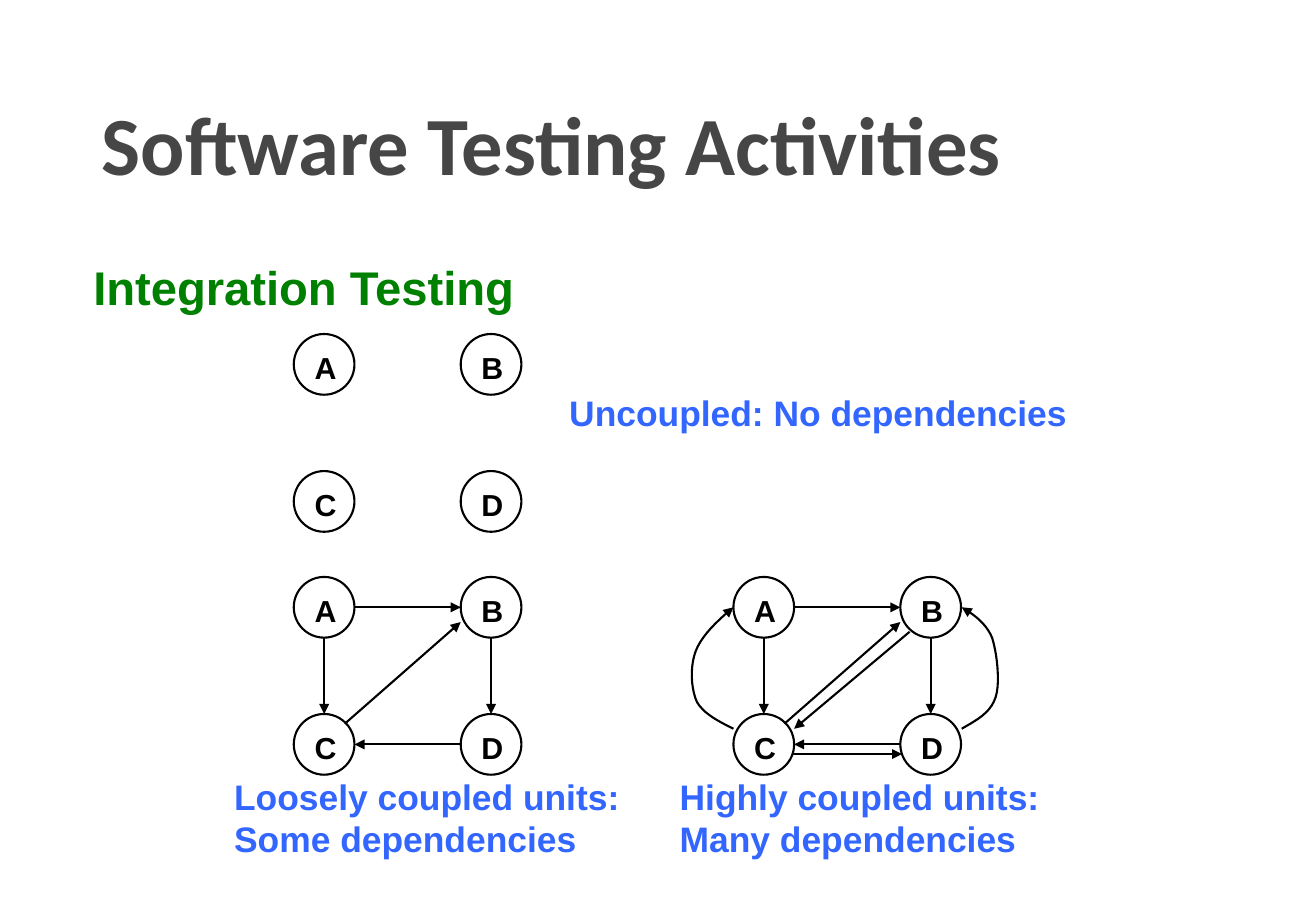
from dataclasses import dataclass
from itertools import product

from lxml.etree import SubElement
from pptx import Presentation
from pptx.dml.color import RGBColor as RGB
from pptx.enum.shapes import MSO_CONNECTOR as LINK, MSO_SHAPE as SHAPE
from pptx.enum.text import MSO_ANCHOR as ANCHOR, PP_ALIGN as ALIGN
from pptx.oxml.ns import qn
from pptx.util import Pt


@dataclass(frozen=True)
class Theme:
    ink: RGB = RGB(0, 0, 0)
    paper: RGB = RGB(255, 255, 255)
    gray: RGB = RGB(0x46, 0x46, 0x46)
    green: RGB = RGB(0, 0x80, 0)
    blue: RGB = RGB(0x33, 0x66, 0xFF)
    head: str = "Calibri"
    body: str = "Arial"
    title: float = 49
    topic: float = 28
    note: float = 21
    node: float = 18
    line: float = 1.25


THEME = Theme()
SIZE = 36
STEP_X, STEP_Y = 99, 81.25
MID = SIZE / 2
FAR_X, FAR_Y = STEP_X + MID, STEP_Y + MID

LOOSE = [
    ((SIZE, MID), (STEP_X, MID)),
    ((FAR_X, SIZE), (FAR_X, STEP_Y)),
    ((STEP_X, FAR_Y), (SIZE, FAR_Y)),
    ((MID, SIZE), (MID, STEP_Y)),
    ((30.25, 87), (STEP_X, 26.75)),
]
TIGHT = LOOSE + [
    ((104.5, 32.5), (SIZE, 90)),
    ((34.5, 105), (100, 105)),
]
CURVES = [
    [(0, 90), (-8.6, 85.7), (-17.3, 81.4), (-21.6, 74.2),
     (-25.2, 66.2), (-25.9, 53.3), (-22.3, 43.9),
     (-18.7, 34.6), (-9.4, 25.9), (0, 18)],
    [(135.4, 90), (144, 85), (152.6, 80.6), (155.5, 71.3),
     (158.4, 62.6), (156.2, 44.6), (153.4, 36),
     (149.8, 27.4), (142.6, 22.3), (135.4, 18)],
]


def write(shape, text, *, size, color, font=THEME.body, anchor=ANCHOR.TOP,
          align=ALIGN.LEFT, wrap=True, pad=(7.2, 3.6)):
    frame = shape.text_frame
    frame.word_wrap = wrap
    frame.vertical_anchor = anchor
    frame.margin_left = frame.margin_right = Pt(pad[0])
    frame.margin_top = frame.margin_bottom = Pt(pad[1])
    para = frame.paragraphs[0]
    para.alignment = align
    run = para.add_run()
    run.text = text
    run.font.name = font
    run.font.size = Pt(size)
    run.font.bold = True
    run.font.color.rgb = color


def label(slide, text, box, **style):
    write(slide.shapes.add_textbox(*map(Pt, box)), text, **style)


def node(slide, name, x, y):
    disc = slide.shapes.add_shape(SHAPE.OVAL, Pt(x), Pt(y), Pt(SIZE), Pt(SIZE))
    disc.shadow.inherit = False
    disc.fill.solid()
    disc.fill.fore_color.rgb = THEME.paper
    disc.line.color.rgb = THEME.ink
    disc.line.width = Pt(THEME.line)
    write(disc, name, size=THEME.node, color=THEME.ink)


def tip(shape):
    shape.line.color.rgb = THEME.ink
    shape.line.width = Pt(THEME.line)
    SubElement(shape.line._get_or_add_ln(), qn("a:tailEnd"), type="triangle")


def arrow(slide, start, end):
    link = slide.shapes.add_connector(LINK.STRAIGHT, *map(Pt, start + end))
    tip(link)
    SubElement(link._element.spPr, qn("a:effectLst"))


def blend(knots, t):
    while len(knots) > 1:
        knots = [(a + (c - a) * t, b + (d - b) * t)
                 for (a, b), (c, d) in zip(knots, knots[1:])]
    return knots[0]


def curve(slide, knots, steps=10):
    dots = [blend(knots[i:i + 4], n / steps)
            for i in range(0, len(knots) - 1, 3) for n in range(1, steps + 1)]
    form = slide.shapes.build_freeform(*map(Pt, knots[0]))
    form.add_line_segments([(Pt(x), Pt(y)) for x, y in dots], close=False)
    bend = form.convert_to_shape()
    bend.shadow.inherit = False
    bend.fill.background()
    tip(bend)


def graph(slide, left, top, links=(), bends=()):
    def place(spot):
        return left + spot[0], top + spot[1]

    for name, (row, col) in zip("ABCD", product(range(2), repeat=2)):
        node(slide, name, *place((col * STEP_X, row * STEP_Y)))
    for start, end in links:
        arrow(slide, place(start), place(end))
    for knots in bends:
        curve(slide, [place(spot) for spot in knots])


def main():
    deck = Presentation()
    deck.slide_width, deck.slide_height = Pt(780.48), Pt(540)
    slide = deck.slides.add_slide(deck.slide_layouts[6])
    label(slide, "Software Testing Activities", (51.84, 12.25, 695.5, 105.85),
          size=THEME.title, color=THEME.gray, font=THEME.head,
          anchor=ANCHOR.BOTTOM, pad=(8.64, 4.32))
    label(slide, "Integration Testing", (48.25, 149.75, 678.25, 41),
          size=THEME.topic, color=THEME.green, align=ALIGN.JUSTIFY)
    graph(slide, 174.25, 198)
    graph(slide, 174.25, 342, LOOSE)
    graph(slide, 435, 342, TIGHT, CURVES)
    notes = [
        ("Uncoupled: No dependencies", (330.5, 228.25, 315.35, 32.4), False),
        ("Loosely coupled units: Some dependencies",
         (131.75, 455.75, 246.25, 57.6), True),
        ("Highly coupled units: Many dependencies",
         (396, 455.75, 234, 57.6), True),
    ]
    for text, box, wrap in notes:
        label(slide, text, box, size=THEME.note, color=THEME.blue,
              anchor=ANCHOR.MIDDLE, wrap=wrap)
    deck.save("out.pptx")


if __name__ == "__main__":
    main()
